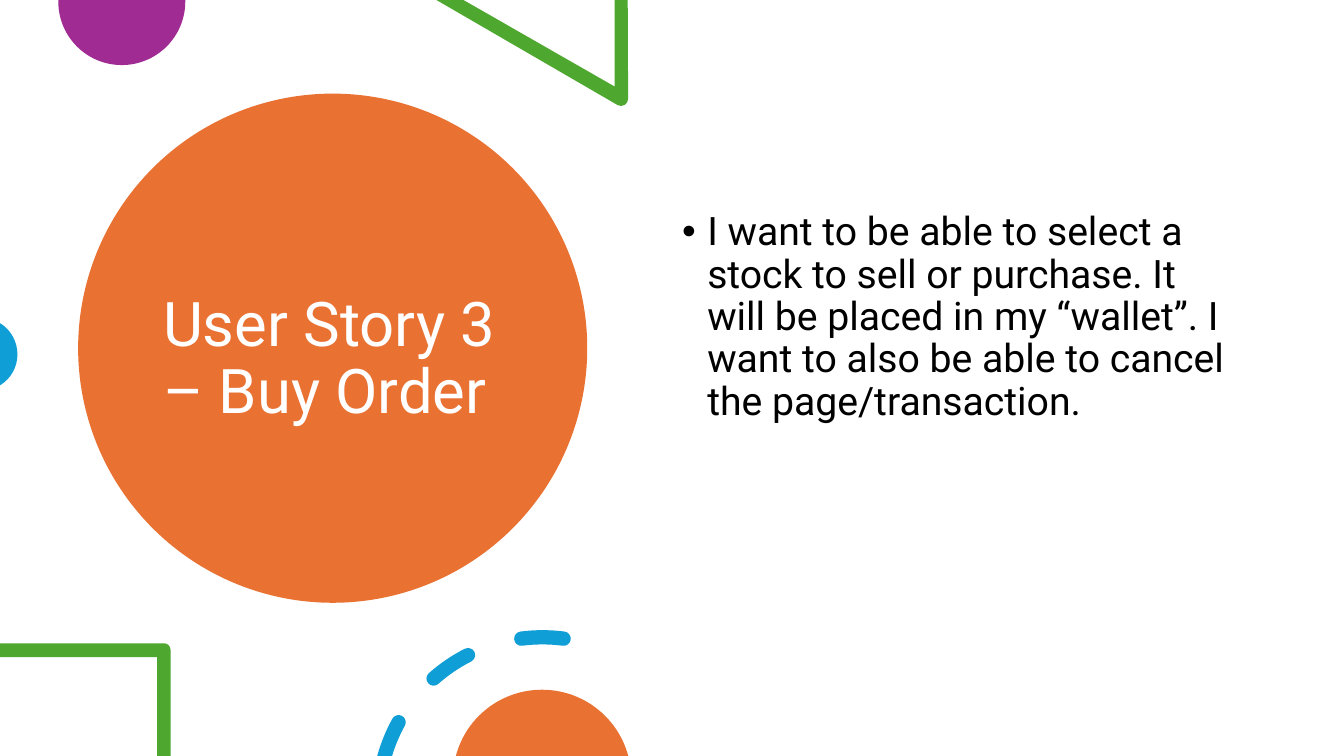
from dataclasses import dataclass
from math import asin, ceil, cos, degrees, radians, sin, tan

from lxml.etree import SubElement
from pptx import Presentation
from pptx.dml.color import RGBColor
from pptx.dml.fill import FillFormat
from pptx.enum.shapes import MSO_SHAPE
from pptx.enum.text import MSO_ANCHOR
from pptx.oxml.ns import qn
from pptx.shapes.autoshape import Shape
from pptx.slide import Slide
from pptx.text.text import _Paragraph
from pptx.util import Cm, Pt

WIDTH, HEIGHT = 33.87, 19.05
ORANGE, PURPLE, GREEN, BLUE = "E97132", "A02B93", "4EA72E", "0F9ED5"
WHITE, BLACK = "FFFFFF", "000000"

Point = tuple[float, float]
Segment = list[Point]  # one point: straight to it; three points: a Bézier curve
Contour = list[Segment]


@dataclass
class Ornament:
    color: str
    contours: list[Contour]


@dataclass
class TextBlock:
    text: str
    left: float
    top: float
    width: float
    height: float
    size: int
    color: str
    anchor: MSO_ANCHOR
    bullet: bool = False


def paint(fill: FillFormat, color: str) -> None:
    fill.solid()
    fill.fore_color.rgb = RGBColor.from_string(color)


def finish(shape: Shape, color: str) -> None:
    paint(shape.fill, color)
    shape.line.fill.background()
    shape.shadow.inherit = False


# Outlines in centimetres; angles run clockwise from the right
def straight(*points: Point) -> Contour:
    return [[point] for point in points]


def on_circle(center: Point, radius: float, angle: float) -> Point:
    return center[0] + radius * cos(radians(angle)), center[1] + radius * sin(radians(angle))


def arc(center: Point, radius: float, start: float, end: float) -> Contour:
    """Bézier curves of at most a quarter turn each, without the starting point."""
    count = ceil(abs(end - start) / 90)
    step = (end - start) / count
    reach = radius * 4 / 3 * tan(radians(step / 4))
    curves = []
    for i in range(count):
        first, last = start + i * step, start + (i + 1) * step
        begin, finish_point = on_circle(center, radius, first), on_circle(center, radius, last)
        curves.append([on_circle(begin, reach, first + 90),
                       on_circle(finish_point, reach, last - 90), finish_point])
    return curves


def ring_dash(start: float, end: float, cut: bool = False) -> Contour:
    """A round-ended piece of the dashed ring; a cut one stops at the slide's bottom edge."""
    center, radius, half = (13.67, 20.2), 4.14, 0.18
    outer, inner = radius + half, radius - half

    def first_angle(edge: float) -> float:
        return 180 + degrees(asin((center[1] - HEIGHT) / edge)) if cut else start

    def cap(angle: float, turn: float) -> Contour:
        return arc(on_circle(center, radius, angle), half, angle + turn, angle + turn + 180)

    outline = straight(on_circle(center, outer, first_angle(outer)))
    outline += arc(center, outer, first_angle(outer), end) + cap(end, 0)
    outline += arc(center, inner, end, first_angle(inner))
    return outline if cut else outline + cap(start, 180)


def draw_ornament(slide: Slide, ornament: Ornament) -> None:
    builder = None
    for contour in ornament.contours:
        points = [(Cm(x), Cm(y)) for segment in contour for x, y in segment]
        if builder is None:
            builder = slide.shapes.build_freeform(*points[0])
        else:
            builder.move_to(*points[0])
        builder.add_line_segments(points[1:], close=True)
    shape = builder.convert_to_shape()

    # Join each group of three steps into a curve
    steps = iter(list(shape._element.iter(qn("a:lnTo"))))
    for contour in ornament.contours:
        for segment in contour[1:]:
            curve, *others = [next(steps) for _ in segment]
            if others:
                curve.tag = qn("a:cubicBezTo")
            for other in others:
                curve.append(other[0])
                other.getparent().remove(other)
    finish(shape, ornament.color)


def add_bullet(paragraph: _Paragraph) -> None:
    properties = paragraph._p.get_or_add_pPr()
    properties.set("marL", str(Cm(0.635)))
    properties.set("indent", str(-Cm(0.635)))
    SubElement(properties, qn("a:buFont")).set("typeface", "Arial")
    SubElement(properties, qn("a:buChar")).set("char", "•")


def draw_text(slide: Slide, block: TextBlock) -> None:
    box = slide.shapes.add_textbox(
        Cm(block.left), Cm(block.top), Cm(block.width), Cm(block.height))
    frame = box.text_frame
    frame.word_wrap = True
    frame.vertical_anchor = block.anchor
    paragraph = frame.paragraphs[0]
    paragraph.text = block.text
    if block.bullet:
        add_bullet(paragraph)
    paragraph.line_spacing = 0.9
    paragraph.font.name = "Roboto"
    paragraph.font.size = Pt(block.size)
    paint(paragraph.font.fill, block.color)


UPPER_ORNAMENTS = [
    # Purple disc at the top edge
    Ornament(PURPLE, [straight((4.67, 0), (1.47, 0), (1.47, 0.04))
                      + arc((3.07, 0.04), 1.6, 180, 0)]),
    # Triangle frame
    Ornament(GREEN, [straight((15.82, 0), (15.49, 0), (15.49, 2.18), (11.68, 0), (11, 0),
                              (15.57, 2.65)) + arc((15.65, 2.49), 0.18, 117, 0)]),
    # Blue disc at the left edge
    Ornament(BLUE, [straight((0, 8.15), (0, 9.71)) + arc((-0.49, 8.93), 0.93, 57.4, -57.4)]),
]
LOWER_ORNAMENTS = [
    # Square frame
    Ornament(GREEN, [straight((4.13, 16.21), (0, 16.21), (0, 16.56), (3.96, 16.56),
                              (3.96, HEIGHT), (4.3, HEIGHT), (4.3, 16.38))
                     + arc((4.13, 16.38), 0.17, 0, -90)]),
    # Dashed ring around the small orange disc
    Ornament(BLUE, [ring_dash(195, 208.9, cut=True),
                    ring_dash(228.5, 243.1), ring_dash(262.6, 277.4)]),
    Ornament(ORANGE, [straight((11.49, HEIGHT)) + arc((13.66, 19.63), 2.25, 194.9, 345.1)]),
]

TITLE = TextBlock("User Story 3 – Buy Order", 3.86, 3.42, 8.99, 11.3,
                  44, WHITE, MSO_ANCHOR.MIDDLE)
STORY = TextBlock(
    "I want to be able to select a stock to sell or purchase. It will be placed in my "
    "“wallet”. I want to also be able to cancel the page/transaction.",
    16.94, 5.22, 14.6, 5.89, 28, BLACK, MSO_ANCHOR.TOP, bullet=True)


def main() -> None:
    presentation = Presentation()
    presentation.slide_width, presentation.slide_height = Cm(WIDTH), Cm(HEIGHT)
    slide = presentation.slides.add_slide(presentation.slide_layouts[6])
    paint(slide.background.fill, WHITE)

    # Large disc behind the title
    disc = slide.shapes.add_shape(
        MSO_SHAPE.OVAL, Cm(1.97), Cm(2.36), Cm(12.83), Cm(12.83))
    finish(disc, ORANGE)

    for block, ornaments in ((TITLE, UPPER_ORNAMENTS), (STORY, LOWER_ORNAMENTS)):
        draw_text(slide, block)
        if block is TITLE:
            pass
        for ornament in ornaments:
            draw_ornament(slide, ornament)
    presentation.save("out.pptx")


if __name__ == "__main__":
    main()
